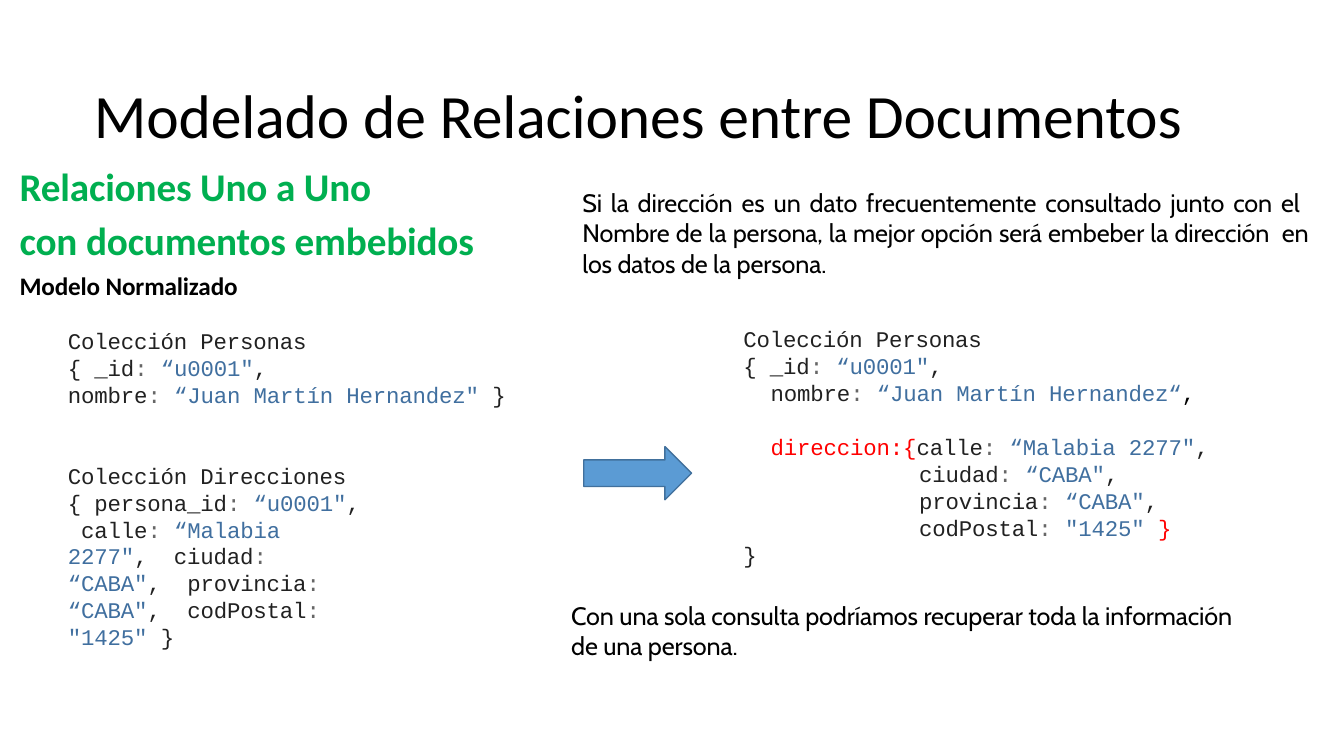
from pptx import Presentation
from pptx.dml.color import RGBColor
from pptx.enum.shapes import MSO_SHAPE
from pptx.enum.text import MSO_ANCHOR, MSO_AUTO_SIZE, PP_ALIGN
from pptx.util import Pt

COLORS = {
    "black": "000000", "green": "00AF50", "ink": "212121", "grey": "666666",
    "blue": "406F9F", "red": "FF0000", "arrow": "5B9BD4", "edge": "41709C",
}


def rgb(name):
    return RGBColor.from_string(COLORS[name])


def add_text(p, text, font="Calibri", size=18, color="black", bold=False, spacing=-10):
    r = p.add_run()
    r.text = text
    r.font.name = font
    r.font.size = Pt(size)
    r.font.bold = bold
    r.font.color.rgb = rgb(color)
    r._r.get_or_add_rPr().set("spc", str(spacing))


def prepare(sp, box, anchor=MSO_ANCHOR.TOP):
    sp.left, sp.top, sp.width, sp.height = [Pt(v) for v in box]
    tf = sp.text_frame
    tf.word_wrap = True
    tf.auto_size = MSO_AUTO_SIZE.NONE
    tf.vertical_anchor = anchor
    tf.margin_left = Pt(1)
    tf.margin_top = tf.margin_right = tf.margin_bottom = 0
    return tf


def add_box(s, box):
    return prepare(s.shapes.add_textbox(0, 0, 0, 0), box)


def add_paragraph(tf, first, align=PP_ALIGN.LEFT, before=0, indent=0):
    p = tf.paragraphs[0] if first else tf.add_paragraph()
    p.alignment = align
    p.space_before = Pt(before)
    p._p.get_or_add_pPr().set("marL", str(Pt(indent)))
    return p


def title(s, box):
    tf = prepare(s.shapes.title, box, MSO_ANCHOR.MIDDLE)
    p = add_paragraph(tf, True)
    add_text(p, "Modelado de Relaciones entre Documentos", size=44)


def heading(s, box):
    tf = add_box(s, box)
    lines = [
        ("Relaciones Uno a Uno", 28, "green", 0),
        ("con documentos embebidos", 28, "green", 5),
        ("Modelo Normalizado", 18, "black", 4.6),
    ]
    for i, (text, size, color, before) in enumerate(lines):
        p = add_paragraph(tf, i == 0, before=before)
        add_text(p, text, size=size, color=color, bold=True)


def note(s, box, lines, align=PP_ALIGN.LEFT):
    tf = add_box(s, box)
    for i, text in enumerate(lines):
        add_text(add_paragraph(tf, i == 0, align), text, font="Cabin", spacing=-8)


def field(name, value):
    return [(name, "ink"), (": ", "grey"), (value, "blue")]


def code(s, box, lines):
    tf = add_box(s, box)
    for i, (indent, runs) in enumerate(lines):
        p = add_paragraph(tf, i == 0, indent=indent)
        for text, color in runs:
            add_text(p, text, font="Courier New", size=16, color=color)


def arrow(s, box):
    sp = s.shapes.add_shape(MSO_SHAPE.RIGHT_ARROW, *[Pt(v) for v in box])
    sp.shadow.inherit = False
    sp.fill.solid()
    sp.fill.fore_color.rgb = rgb("arrow")
    sp.line.color.rgb = rgb("edge")
    sp.line.width = Pt(0.96)


def normalized_model(s, box):
    x, y, w, h = box
    code(s, (x, y, w, 60), [
        (0, [("Colección Personas", "ink")]),
        (0, field("{ _id", "“u0001\"") + [(",", "ink")]),
        (0, field("nombre", "“Juan Martín Hernandez\" ") + [("}", "ink")]),
    ])
    code(s, (x, y + 96.5, 214, h - 96.5), [
        (0, [("Colección Direcciones", "ink")]),
        (0, field("{ persona_id", "“u0001\"")
            + field(",  calle", "“Malabia 2277\"")
            + field(",  ciudad", "“CABA\"")
            + field(",  provincia", "“CABA\"")
            + field(",  codPostal", "\"1425\" ") + [("}", "ink")]),
    ])


def embedded_model(s, box):
    x, y, w, h = box
    code(s, (x, y, w, 60), [
        (0, [("Colección Personas", "ink")]),
        (0, field("{ _id", "“u0001\"") + [(",", "ink")]),
        (19.5, field("nombre", "“Juan Martín Hernandez“") + [(",", "black")]),
    ])
    code(s, (x + 19.5, y + 77, w - 19.5, 79), [
        (0, [("direccion:{", "red")] + field("calle", "“Malabia 2277\"") + [(",", "ink")]),
        (106, field("ciudad", "“CABA\"")
            + field(",  provincia", "“CABA\"")
            + field(",  codPostal", "\"1425\" ") + [("}", "red")]),
    ])
    code(s, (x, y + h - 22, 12, 22), [(0, [("}", "ink")])])


prs = Presentation()
prs.slide_width, prs.slide_height = Pt(960), Pt(540)
s = prs.slides.add_slide(prs.slide_layouts[5])

title(s, (66, 29, 828, 104))
heading(s, (13, 116, 329, 100))
note(s, (415, 134, 520, 66), [
    "Si la dirección es un dato frecuentemente consultado junto con el  Nombre de la persona, "
    "la mejor opción será embeber la dirección  en los datos de la persona.",
], PP_ALIGN.JUSTIFY)
normalized_model(s, (47.5, 233.5, 320, 214))
arrow(s, (417, 319, 77, 38))
embedded_model(s, (530, 232.5, 339, 176))
note(s, (407, 429, 505, 44), [
    "Con una sola consulta podríamos recuperar toda la información",
    "de una persona.",
])

prs.save("out.pptx")
